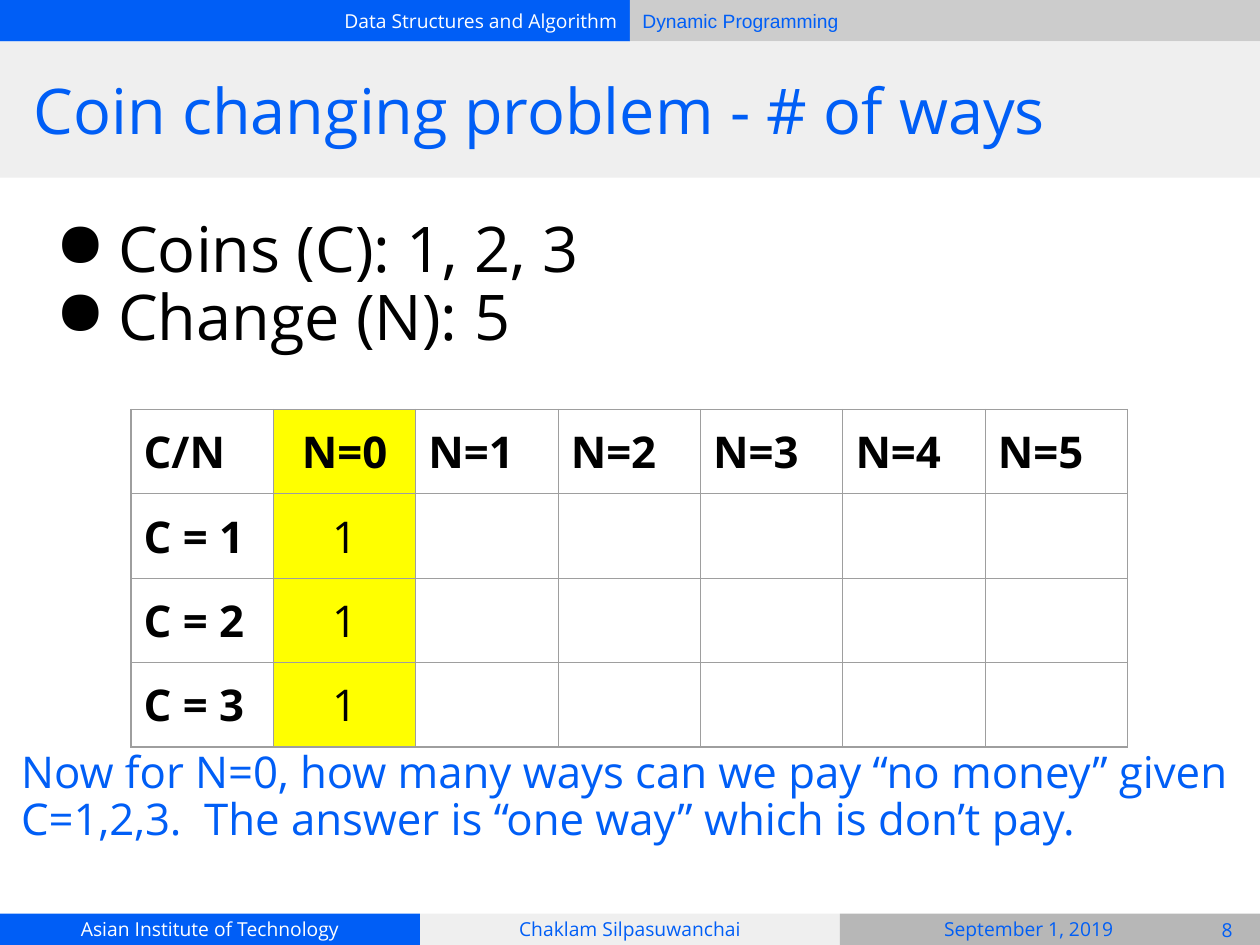
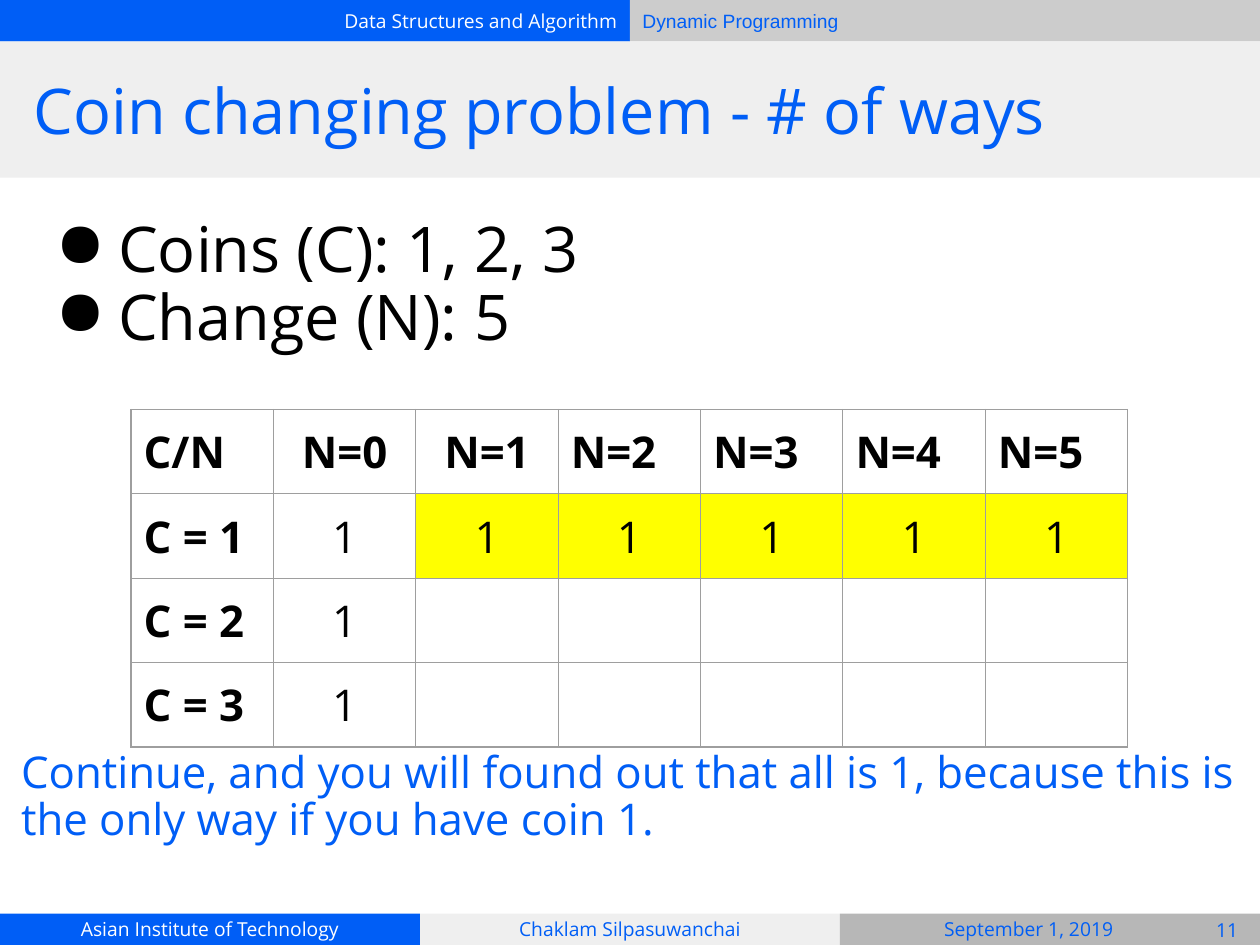
from dataclasses import dataclass

from lxml.etree import SubElement
from pptx import Presentation
from pptx.dml.color import RGBColor
from pptx.enum.shapes import MSO_SHAPE
from pptx.enum.text import MSO_ANCHOR, PP_ALIGN
from pptx.oxml.ns import qn
from pptx.shapes.base import BaseShape
from pptx.slide import Slide
from pptx.table import _Cell
from pptx.text.text import TextFrame
from pptx.util import Inches, Pt

BLUE = "005EF6"
WHITE = "FFFFFF"
BLACK = "000000"
PALE = "EFEFEF"
YELLOW = "FFFF00"
GRID = "9E9E9E"
FONT = "Open Sans"
TITLE = "Coin changing problem - # of ways"
BULLETS = ["Coins (C): 1, 2, 3", "Change (N): 5"]
COINS = 3
CHANGE = 5
COLUMN_WIDTH = 1.13
ROW_HEIGHT = 0.67
THIRD = 10 / 3


@dataclass(frozen=True)
class Area:
    left: float
    top: float
    width: float
    height: float


@dataclass(frozen=True)
class Style:
    size: float
    color: str
    align: PP_ALIGN = PP_ALIGN.LEFT
    anchor: MSO_ANCHOR = MSO_ANCHOR.MIDDLE
    font: str = FONT
    bold: bool = False
    spacing: float = 1.0
    inset: float = 0.1


@dataclass(frozen=True)
class Band:
    area: Area
    fill: str
    text: str = ""
    style: Style = Style(11, BLUE, PP_ALIGN.CENTER)


@dataclass(frozen=True)
class Step:
    number: int
    caption: str
    ways: dict[tuple[int, int], int]
    highlighted: set[tuple[int, int]]
    centered_headers: set[int]


SMALL = Style(11, BLUE, PP_ALIGN.CENTER)
SMALL_WHITE = Style(11, WHITE, PP_ALIGN.CENTER)
BODY = Style(36, BLACK, anchor=MSO_ANCHOR.TOP, spacing=0.9, inset=0.05)
CAPTION = Style(25, BLUE, anchor=MSO_ANCHOR.TOP, spacing=0.9)

BANDS = [
    Band(Area(0, 0, 5, 0.33), BLUE, "Data Structures and Algorithm",
         Style(11, WHITE, PP_ALIGN.RIGHT)),
    Band(Area(5, 0, 5, 0.33), "CCCCCC", "Dynamic Programming",
         Style(11, BLUE, font="Arial")),
    Band(Area(0, 7.25, THIRD, 0.25), BLUE, "Asian Institute of Technology", SMALL_WHITE),
    Band(Area(THIRD, 7.25, THIRD, 0.25), PALE, "Chaklam Silpasuwanchai", SMALL),
    Band(Area(2 * THIRD, 7.25, THIRD, 0.25), "B7B7B7"),
    Band(Area(0, 0.33, 10, 1.08), PALE),
]

FIRST_COLUMN = {(coin, 0): 1 for coin in range(1, COINS + 1)}
FIRST_ROW = {(1, change): 1 for change in range(1, CHANGE + 1)}

STEPS = [
    Step(8, "Now for N=0, how many ways can we pay “no money” given C=1,2,3.  "
         "The answer is “one way” which is don’t pay.",
         FIRST_COLUMN, {(0, 0), *FIRST_COLUMN}, {0}),
    Step(11, "Continue, and you will found out that all is 1, because this is "
         "the only way if you have coin 1.",
         FIRST_COLUMN | FIRST_ROW, set(FIRST_ROW), {0, 1}),
]


def color(value: str) -> RGBColor:
    return RGBColor.from_string(value)


def place(area: Area) -> tuple[Inches, Inches, Inches, Inches]:
    return Inches(area.left), Inches(area.top), Inches(area.width), Inches(area.height)


def write(frame: TextFrame, text: str, style: Style) -> None:
    frame.text = text
    frame.word_wrap = True
    frame.vertical_anchor = style.anchor
    frame.margin_left = frame.margin_right = Inches(0.1)
    frame.margin_top = frame.margin_bottom = Inches(style.inset)
    for para in frame.paragraphs:
        format_paragraph(para, style)


def format_paragraph(para, style: Style) -> None:
    para.alignment = style.align
    para.line_spacing = style.spacing
    for span in para.runs:
        span.font.name = style.font
        span.font.size = Pt(style.size)
        span.font.bold = style.bold
        span.font.color.rgb = color(style.color)


def add_text(page: Slide, area: Area, text: str, style: Style) -> BaseShape:
    box = page.shapes.add_textbox(*place(area))
    write(box.text_frame, text, style)
    return box


def add_band(page: Slide, band: Band) -> None:
    shape = page.shapes.add_shape(MSO_SHAPE.RECTANGLE, *place(band.area))
    shape.shadow.inherit = False
    shape.fill.solid()
    shape.fill.fore_color.rgb = color(band.fill)
    shape.line.fill.background()
    if band.text:
        write(shape.text_frame, band.text, band.style)


def add_bullets(page: Slide) -> None:
    box = add_text(page, Area(0.34, 1.68, 9.32, 1.55), "\n".join(BULLETS), BODY)
    for para in box.text_frame.paragraphs:
        properties = para._p.get_or_add_pPr()
        properties.set("marL", str(Inches(0.5)))
        properties.set("indent", str(-Inches(0.5)))
        SubElement(properties, qn("a:buChar")).set("char", "●")


def draw_borders(cell: _Cell) -> None:
    properties = cell._tc.get_or_add_tcPr()
    for position, side in enumerate(("lnL", "lnR", "lnT", "lnB")):
        line = SubElement(properties, qn(f"a:{side}"), w=str(Pt(0.75)))
        fill = SubElement(line, qn("a:solidFill"))
        SubElement(fill, qn("a:srgbClr"), val=GRID)
        properties.insert(position, line)


def cell_text(step: Step, coin: int, change: int) -> str:
    if change < 0:
        return f"C = {coin}" if coin else "C/N"
    if coin == 0:
        return f"N={change}"
    return str(step.ways.get((coin, change), ""))


def add_ways_table(page: Slide, step: Step) -> None:
    rows, columns = COINS + 1, CHANGE + 2
    area = Area(1.04, 3.25, columns * COLUMN_WIDTH, rows * ROW_HEIGHT)
    table = page.shapes.add_table(rows, columns, *place(area)).table
    table.first_row = table.horz_banding = False
    for column in table.columns:
        column.width = Inches(COLUMN_WIDTH)
    for coin in range(rows):
        table.rows[coin].height = Inches(ROW_HEIGHT)
        for change in range(-1, CHANGE + 1):
            cell = table.cell(coin, change + 1)
            is_header = coin == 0 or change < 0
            centered = change in step.centered_headers if is_header else True
            if change < 0:
                centered = False
            style = Style(25, BLACK, PP_ALIGN.CENTER if centered else PP_ALIGN.LEFT,
                          MSO_ANCHOR.TOP, bold=is_header)
            cell.text = cell_text(step, coin, change)
            cell.vertical_anchor = style.anchor
            cell.margin_left = cell.margin_right = Inches(style.inset)
            cell.margin_top = cell.margin_bottom = Inches(style.inset)
            format_paragraph(cell.text_frame.paragraphs[0], style)
            if (coin, change) in step.highlighted:
                cell.fill.solid()
                cell.fill.fore_color.rgb = color(YELLOW)
            else:
                cell.fill.background()
            draw_borders(cell)


def add_step(deck, step: Step) -> None:
    page = deck.slides.add_slide(deck.slide_layouts[6])
    for band in BANDS:
        add_band(page, band)
    add_text(page, Area(6.75, 7.25, 2.83, 0.25), "September 1, 2019", SMALL)
    add_text(page, Area(9.48, 7.26, 0.52, 0.24), str(step.number), SMALL)
    add_text(page, Area(0.17, 0.33, 9.67, 1.08), TITLE, Style(36, BLUE))
    add_bullets(page)
    add_ways_table(page, step)
    add_text(page, Area(0.07, 5.86, 9.93, 1.55), step.caption, CAPTION)


def main() -> None:
    deck = Presentation()
    deck.slide_width = Inches(10)
    deck.slide_height = Inches(7.5)
    for step in STEPS:
        add_step(deck, step)
    deck.save("out.pptx")


if __name__ == "__main__":
    main()
